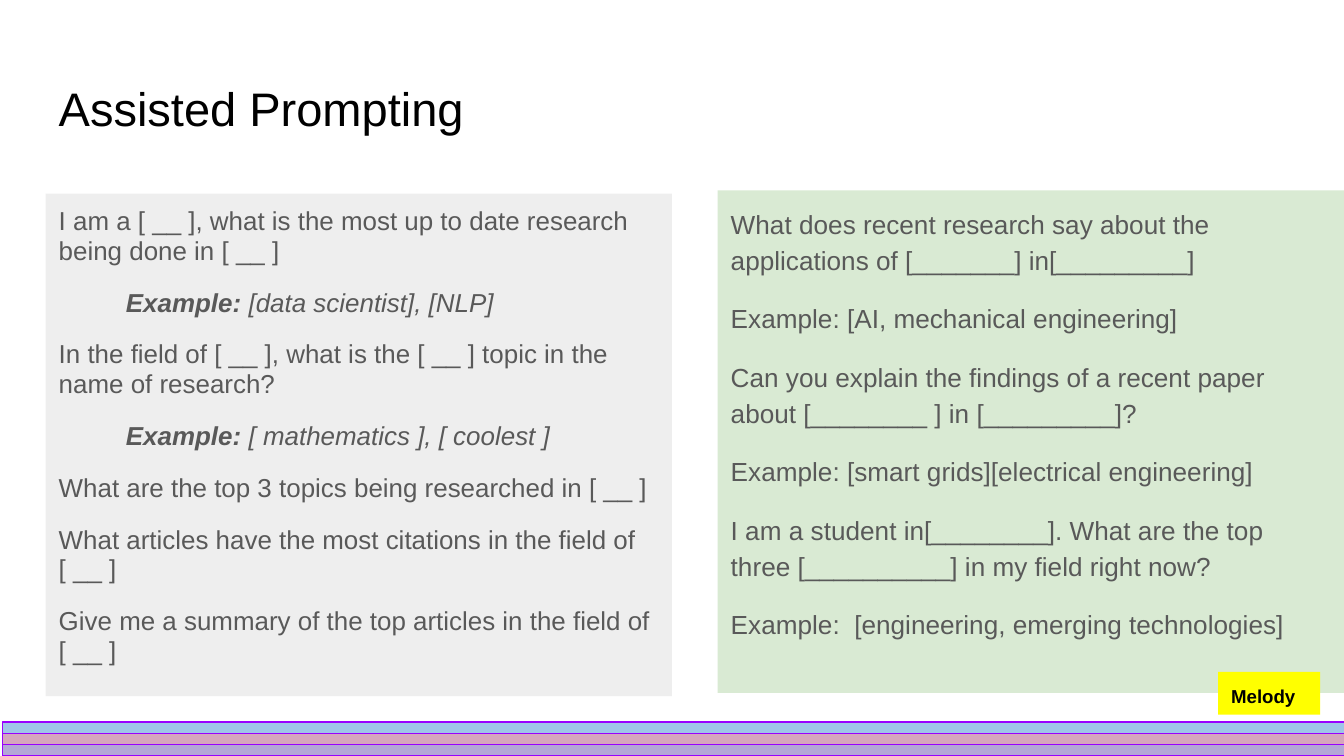
from lxml import etree
from pptx import Presentation
from pptx.dml.color import RGBColor
from pptx.enum import shapes, text
from pptx.oxml import ns
from pptx.util import Cm, Pt

INSET = Cm(0.25)


def paint(color_format, hex_color):
    color_format.fore_color.rgb = RGBColor.from_string(hex_color)


def write(shape, paragraphs, size, color, line_spacing=1.0, anchor=text.MSO_ANCHOR.TOP):
    """Fill a shape with paragraphs, each a list of (text, bold, italic) runs."""
    frame = shape.text_frame
    frame.word_wrap = True
    frame.auto_size = text.MSO_AUTO_SIZE.NONE
    frame.vertical_anchor = anchor
    frame.margin_left = frame.margin_right = INSET
    frame.margin_top = frame.margin_bottom = INSET
    for i, runs in enumerate(paragraphs):
        paragraph = frame.add_paragraph() if i else frame.paragraphs[0]
        properties = paragraph._p.get_or_add_pPr()
        properties.set("marL", "0")
        properties.set("indent", "0")
        etree.SubElement(properties, ns.qn("a:buNone"))
        paragraph.alignment = text.PP_ALIGN.LEFT
        paragraph.line_spacing = line_spacing
        paragraph.space_before = Pt(12 if i else 0)
        paragraph.space_after = Pt(0)
        for words, bold, italic in runs:
            run = paragraph.add_run()
            run.text = words
            run.font.name = "Arial"
            run.font.size = Pt(size)
            run.font.bold = bold
            run.font.italic = italic
            run.font.color.rgb = RGBColor.from_string(color)


prs = Presentation()
prs.slide_width, prs.slide_height = Cm(25.4), Cm(14.29)
slide = prs.slides.add_slide(prs.slide_layouts.get_by_name("Two Content"))
title, templates, research = slide.placeholders

# Title
title.left, title.top, title.width, title.height = Cm(0.86), Cm(1.24), Cm(23.67), Cm(1.6)
write(title, [[("Assisted Prompting", False, False)]], 25.2, "000000",
      anchor=text.MSO_ANCHOR.MIDDLE)

# Two panels of prompts; a pair is an indented example
template_prompts = [
    "I am a [ __ ], what is the most up to date research being done in [ __ ]",
    ("Example:", " [data scientist], [NLP]"),
    "In the field of [ __ ], what is the [ __ ] topic in the name of research?",
    ("Example: ", "[ mathematics ], [ coolest ]"),
    "What are the top 3 topics being researched in [ __ ]",
    "What articles have the most citations in the field of [ __ ]",
    "Give me a summary of the top articles in the field of [ __ ]",
]
research_prompts = [
    "What does recent research say about the applications of [_______] in[_________]",
    "Example: [AI, mechanical engineering]",
    "Can you explain the findings of a recent paper about [________ ] in [_________]?",
    "Example: [smart grids][electrical engineering]",
    "I am a student in[________]. What are the top three [__________] in my field right now?",
    "Example:  [engineering, emerging technologies]",
]
for panel, prompts, left, top, fill, size, spacing in (
    (templates, template_prompts, 0.86, 3.66, "EEEEEE", 13.9, 0.95),
    (research, research_prompts, 13.56, 3.6, "D9EAD3", 14, 1.15),
):
    panel.left, panel.top, panel.width, panel.height = Cm(left), Cm(top), Cm(11.84), Cm(9.5)
    panel.fill.solid()
    paint(panel.fill, fill)
    paragraphs = []
    for prompt in prompts:
        if isinstance(prompt, tuple):
            label, answer = prompt
            paragraphs.append([("\t", False, False), (label, True, True), (answer, False, True)])
        else:
            paragraphs.append([(prompt, False, False)])
    write(panel, paragraphs, size, "595959", spacing)

# Footer stripes, bottom to top
for i, fill in enumerate(("B4A7D6", "D5A6BD", "9FC5E8")):
    stripe = slide.shapes.add_shape(shapes.MSO_SHAPE.RECTANGLE,
                                    Cm(0.05), Cm(14.07 - 0.21 * i), Cm(25.4), Cm(0.22))
    stripe.shadow.inherit = False
    stripe.fill.solid()
    paint(stripe.fill, fill)
    stripe.line.color.rgb = RGBColor.from_string("9900FF")
    stripe.line.width = Pt(0.75)

# Presenter tag
presenter = slide.shapes.add_shape(shapes.MSO_SHAPE.RECTANGLE,
                                   Cm(23.02), Cm(12.7), Cm(1.93), Cm(0.81))
presenter.shadow.inherit = False
presenter.fill.solid()
paint(presenter.fill, "FFFF00")
presenter.line.fill.background()
write(presenter, [[("Melody", True, False)]], 10, "000000")

prs.save("out.pptx")
